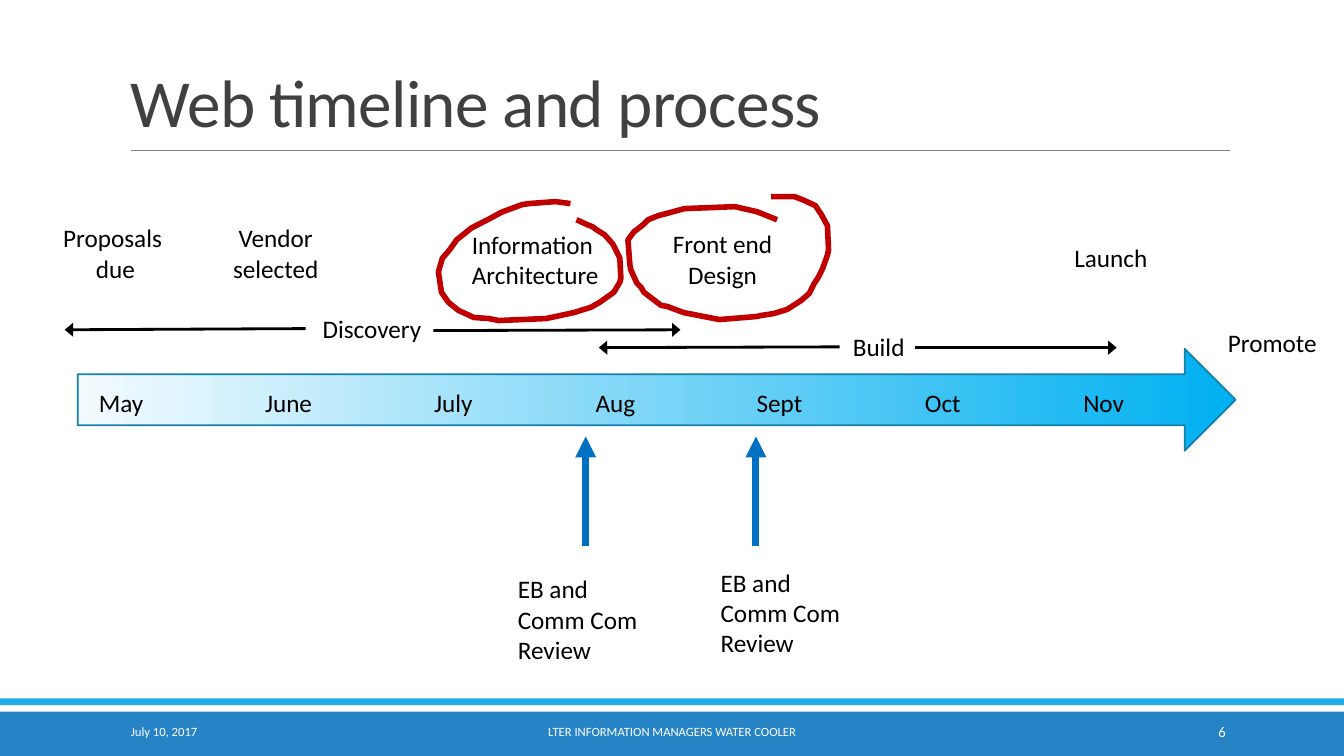
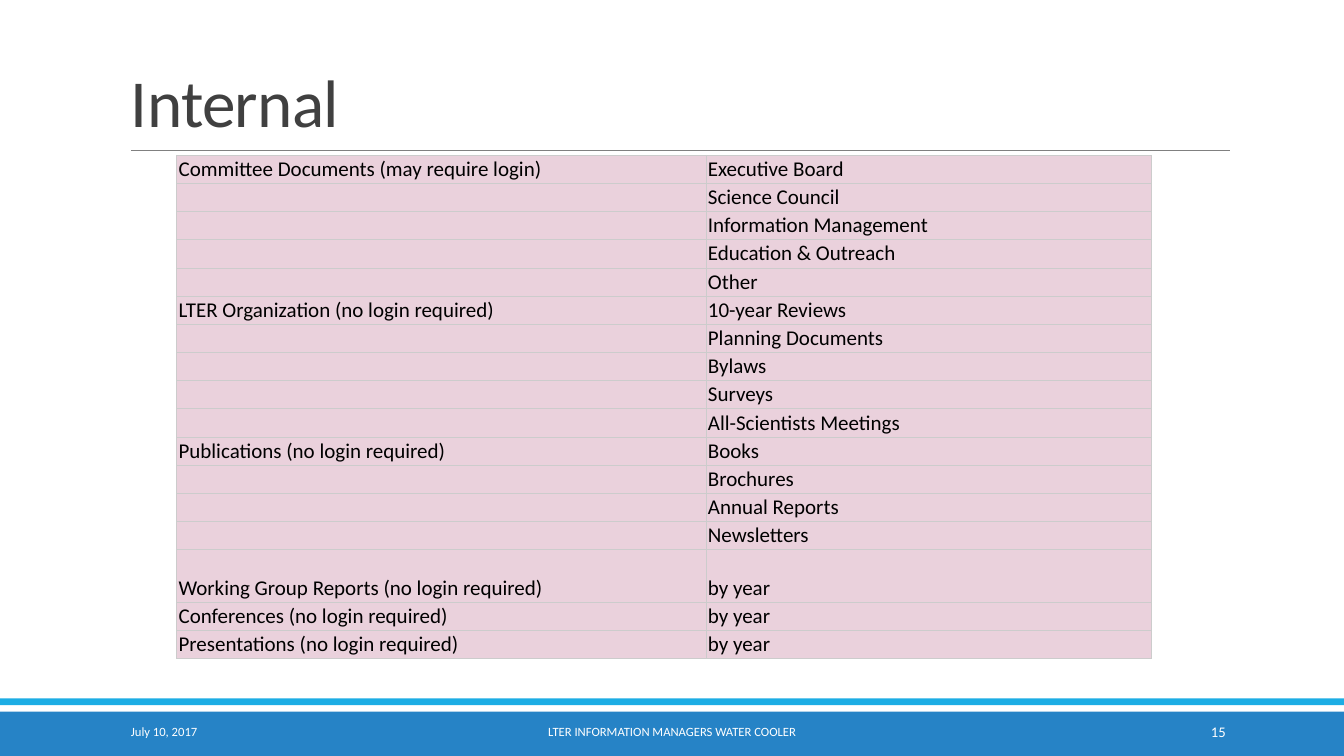
from dataclasses import dataclass

from lxml import etree
from pptx import Presentation
from pptx.dml.color import RGBColor
from pptx.enum import shapes, text
from pptx.oxml import ns
from pptx.slide import Slide
from pptx.table import _Cell
from pptx.util import Cm, Pt

WIDTH, HEIGHT = 33.87, 19.05
FONT = "Calibri"
BLACK = RGBColor(0x00, 0x00, 0x00)
WHITE = RGBColor(0xFF, 0xFF, 0xFF)
TITLE_GREY = RGBColor(0x40, 0x40, 0x40)
RULE_GREY = RGBColor(0x80, 0x80, 0x80)
BAND_BLUE = RGBColor(0x26, 0x83, 0xC6)
STRIPE_BLUE = RGBColor(0x1C, 0xAD, 0xE4)
TIMELINE_PALE = RGBColor(0xF4, 0xFB, 0xFE)
TIMELINE_BLUE = RGBColor(0x00, 0xB0, 0xF0)
TIMELINE_EDGE = RGBColor(0x15, 0x80, 0xA9)
REVIEW_BLUE = RGBColor(0x00, 0x70, 0xC0)
CIRCLE_RED = RGBColor(0xC0, 0x00, 0x00)
CELL_PINK = RGBColor(0xEA, 0xD1, 0xDC)
CELL_BORDER = RGBColor(0xCC, 0xCC, 0xCC)

LEFT, CENTER, RIGHT = text.PP_ALIGN.LEFT, text.PP_ALIGN.CENTER, text.PP_ALIGN.RIGHT
TOP, MIDDLE, BOTTOM = (text.MSO_ANCHOR.TOP, text.MSO_ANCHOR.MIDDLE,
                       text.MSO_ANCHOR.BOTTOM)


@dataclass(frozen=True)
class Label:
    """A text with its box in centimetres."""
    words: str
    left: float
    top: float
    width: float
    height: float = 1.02
    align: text.PP_ALIGN = CENTER
    wrap: bool = False
    size: float = 18
    color: RGBColor = BLACK
    anchor: text.MSO_ANCHOR = TOP


@dataclass(frozen=True)
class Line:
    """A straight line in centimetres; head is the width of its arrowhead, if any."""
    x1: float
    y1: float
    x2: float
    y2: float
    color: RGBColor = BLACK
    weight: float = 2
    head: str = "lg"


@dataclass(frozen=True)
class Group:
    """A heading of the document table and the entries listed beside it."""
    heading: str
    entries: tuple[str, ...]


FOOTER_TOP = 17.93
DATE = Label("July 10, 2017", 3.05, FOOTER_TOP, 6.86, align=LEFT, wrap=True,
             size=9, color=WHITE, anchor=MIDDLE)
MEETING = Label("LTER INFORMATION MANAGERS WATER COOLER", 10.24, FOOTER_TOP, 13.39,
                wrap=True, size=9, color=WHITE, anchor=MIDDLE)

MONTHS = {"May": 2.24, "June": 6.43, "July": 10.69, "Aug": 14.76,
          "Sept": 18.82, "Oct": 23.06, "Nov": 27.05}
MONTH_WIDTH = 2.5
MILESTONES = (
    Label("Proposals \ndue", 1.32, 5.49, 3.18, 1.8),
    Label("Vendor selected", 5.59, 5.49, 2.72, 1.8, wrap=True),
    Label("Information \nArchitecture", 11.61, 5.66, 3.76, 1.8),
    Label("Front end\nDesign", 16.66, 5.64, 3.1, 1.8),
    Label("Launch", 26.8, 5.97, 2.39),
    Label("Promote", 30.68, 8.13, 2.77),
    Label("Discovery", 7.7, 7.77, 3.35, wrap=True),
    Label("Build", 21.23, 8.23, 1.83),
)
PHASE_ARROWS = (
    Line(7.7, 8.28, 1.63, 8.31),
    Line(10.92, 8.33, 17.15, 8.31),
    Line(21.16, 8.74, 15.09, 8.76),
    Line(23.06, 8.76, 28.14, 8.76),
)
REVIEW = "EB and Comm Com Review"
REVIEWS = (
    Label(REVIEW, 12.8, 14.33, 3.81, 2.57, align=LEFT, wrap=True),
    Label(REVIEW, 17.91, 14.17, 3.81, 2.57, align=LEFT, wrap=True),
)
REVIEW_ARROWS = tuple(Line(x, 13.77, x, 11, REVIEW_BLUE, 5, "med")
                      for x in (14.76, 19.05))

# Hand-drawn circles, on a grid of 0.0254 cm
CIRCLE_GRID = Cm(2.54) / 100
DESIGN_CIRCLE = (
    (771, 218), (751, 210), (729, 205), (704, 206), (679, 207), (668, 210),
    (653, 214), (643, 218), (638, 223), (629, 230), (623, 238), (625, 263),
    (626, 268), (632, 281), (636, 285), (639, 290), (652, 300), (656, 303),
    (662, 304), (678, 310), (698, 314), (714, 317), (751, 314), (755, 313),
    (768, 311), (781, 307), (795, 298), (803, 291), (808, 281), (812, 275),
    (816, 267), (821, 253), (822, 248), (821, 224), (815, 213), (809, 204),
    (796, 198), (788, 195), (765, 195),
)
ARCHITECTURE_CIRCLE = (
    (566, 202), (551, 200), (525, 202), (518, 203), (499, 210), (495, 212),
    (482, 219), (476, 222), (468, 226), (463, 230), (453, 238), (446, 248),
    (439, 256), (436, 266), (435, 270), (438, 290), (445, 300), (455, 308),
    (466, 313), (470, 315), (485, 316), (495, 318), (542, 316), (556, 313),
    (570, 310), (576, 308), (586, 305), (595, 300), (609, 290), (612, 285),
    (615, 280), (616, 276), (615, 256), (608, 242), (600, 233), (592, 228),
    (588, 225), (583, 223), (572, 218),
)

DOCUMENTS = (
    Group("Committee Documents (may require login)",
          ("Executive Board", "Science Council", "Information Management",
           "Education & Outreach", "Other")),
    Group("LTER Organization (no login required)",
          ("10-year Reviews", "Planning Documents", "Bylaws", "Surveys",
           "All-Scientists Meetings")),
    Group("Publications (no login required)",
          ("Books", "Brochures", "Annual Reports", "Newsletters")),
    Group("Working Group Reports (no login required)", ("by year",)),
    Group("Conferences (no login required)", ("by year",)),
    Group("Presentations (no login required)", ("by year",)),
)
COLUMN_WIDTHS = (13.34, 11.23)
ROW_HEIGHT, TALL_ROW_HEIGHT = 0.71, 1.32
TALL_HEADING = "Working Group Reports (no login required)"
CELL_SIZE = 15


def format_runs(frame, size: float, color: RGBColor) -> None:
    for paragraph in frame.paragraphs:
        for run in paragraph.runs:
            run.font.name = FONT
            run.font.size = Pt(size)
            run.font.color.rgb = color


def add_label(slide: Slide, label: Label):
    box = slide.shapes.add_textbox(Cm(label.left), Cm(label.top),
                                   Cm(label.width), Cm(label.height))
    frame = box.text_frame
    frame.text = label.words
    frame.word_wrap = label.wrap
    frame.vertical_anchor = label.anchor
    for paragraph in frame.paragraphs:
        paragraph.alignment = label.align
    format_runs(frame, label.size, label.color)
    return frame


def add_line(slide: Slide, line: Line) -> None:
    connector = slide.shapes.add_connector(
        shapes.MSO_CONNECTOR.STRAIGHT,
        Cm(line.x1), Cm(line.y1), Cm(line.x2), Cm(line.y2))
    connector.line.color.rgb = line.color
    connector.line.width = Pt(line.weight)
    properties = connector._element.spPr
    if line.head:
        etree.SubElement(properties.find(ns.qn("a:ln")), ns.qn("a:tailEnd"),
                         type="triangle", w=line.head)
    etree.SubElement(properties, ns.qn("a:effectLst"))


def add_band(slide: Slide, top: float, height: float, color: RGBColor) -> None:
    band = slide.shapes.add_shape(shapes.MSO_SHAPE.RECTANGLE,
                                  0, Cm(top), Cm(WIDTH), Cm(height))
    band.shadow.inherit = False
    band.fill.solid()
    band.fill.fore_color.rgb = color
    band.line.fill.background()


def add_framed_slide(deck, title: str, number: int) -> Slide:
    """Add a slide with the shared bands, title, rule and footer."""
    slide = deck.slides.add_slide(deck.slide_layouts[6])
    add_band(slide, FOOTER_TOP, HEIGHT - FOOTER_TOP, BAND_BLUE)
    add_band(slide, 17.6, 0.17, STRIPE_BLUE)
    add_line(slide, Line(3.3, 3.79, 30.99, 3.79, RULE_GREY, 0.5, head=""))
    heading = add_label(slide, Label(title, 3.05, 0.79, 27.94, 2.9, LEFT, True,
                                     48, TITLE_GREY, BOTTOM)).paragraphs[0]
    heading.line_spacing = 0.85
    heading.runs[0].font._element.set("spc", "-50")
    add_label(slide, DATE)
    add_label(slide, MEETING)
    add_label(slide, Label(str(number), 27.51, FOOTER_TOP, 3.63, align=RIGHT,
                           wrap=True, size=10.5, color=WHITE, anchor=MIDDLE))
    return slide


def add_timeline_arrow(slide: Slide) -> None:
    arrow = slide.shapes.add_shape(shapes.MSO_SHAPE.RIGHT_ARROW,
                                   Cm(1.96), Cm(8.79), Cm(29.18), Cm(2.57))
    arrow.shadow.inherit = False
    arrow.fill.gradient()
    arrow.fill.gradient_angle = 0
    for stop, color in zip(arrow.fill.gradient_stops, (TIMELINE_PALE, TIMELINE_BLUE)):
        stop.color.rgb = color
    arrow.line.color.rgb = TIMELINE_EDGE
    arrow.line.width = Pt(1.25)


def add_circle(slide: Slide, points: tuple[tuple[int, int], ...]) -> None:
    builder = slide.shapes.build_freeform(*points[0], scale=CIRCLE_GRID)
    builder.add_line_segments(points[1:], close=False)
    circle = builder.convert_to_shape()
    circle.shadow.inherit = False
    circle.fill.background()
    circle.line.color.rgb = CIRCLE_RED
    circle.line.width = Pt(4)


def fill_cell(cell: _Cell, words: str) -> None:
    cell.margin_left = cell.margin_right = Cm(0.05)
    cell.margin_top = cell.margin_bottom = Cm(0.03)
    cell.vertical_anchor = BOTTOM
    cell.text_frame.text = words
    format_runs(cell.text_frame, CELL_SIZE, BLACK)
    if not words:
        # Keeps an empty cell from stretching its row
        etree.SubElement(cell.text_frame.paragraphs[0]._p, ns.qn("a:endParaRPr"),
                         sz=str(CELL_SIZE * 100))
    properties = cell._tc.get_or_add_tcPr()
    for side in ("lnL", "lnR", "lnT", "lnB"):
        border = etree.SubElement(properties, ns.qn(f"a:{side}"), w=str(Pt(0.5)))
        paint = etree.SubElement(border, ns.qn("a:solidFill"))
        etree.SubElement(paint, ns.qn("a:srgbClr"), val=str(CELL_BORDER))
    cell.fill.solid()
    cell.fill.fore_color.rgb = CELL_PINK


def add_document_table(slide: Slide) -> None:
    rows = [(group.heading if i == 0 else "", entry)
            for group in DOCUMENTS for i, entry in enumerate(group.entries)]
    heights = [TALL_ROW_HEIGHT if heading == TALL_HEADING else ROW_HEIGHT
               for heading, _ in rows]
    table = slide.shapes.add_table(
        len(rows), len(COLUMN_WIDTHS), Cm(4.45), Cm(3.91),
        Cm(sum(COLUMN_WIDTHS)), Cm(sum(heights))).table
    table.first_row = table.horz_banding = False
    for column, width in zip(table.columns, COLUMN_WIDTHS):
        column.width = Cm(width)
    for row, height, entries in zip(table.rows, heights, rows):
        row.height = Cm(height)
        for cell, words in zip(row.cells, entries):
            fill_cell(cell, words)


def build_timeline(deck) -> None:
    slide = add_framed_slide(deck, "Web timeline and process", 6)
    add_timeline_arrow(slide)
    months = tuple(Label(month, left, 9.63, MONTH_WIDTH, align=LEFT, wrap=True)
                   for month, left in MONTHS.items())
    for label in months + MILESTONES + REVIEWS:
        add_label(slide, label)
    for arrow in PHASE_ARROWS + REVIEW_ARROWS:
        add_line(slide, arrow)
    for points in (DESIGN_CIRCLE, ARCHITECTURE_CIRCLE):
        add_circle(slide, points)


def main() -> None:
    deck = Presentation()
    deck.slide_width, deck.slide_height = Cm(WIDTH), Cm(HEIGHT)
    build_timeline(deck)
    add_document_table(add_framed_slide(deck, "Internal", 15))
    deck.save("out.pptx")


if __name__ == "__main__":
    main()
